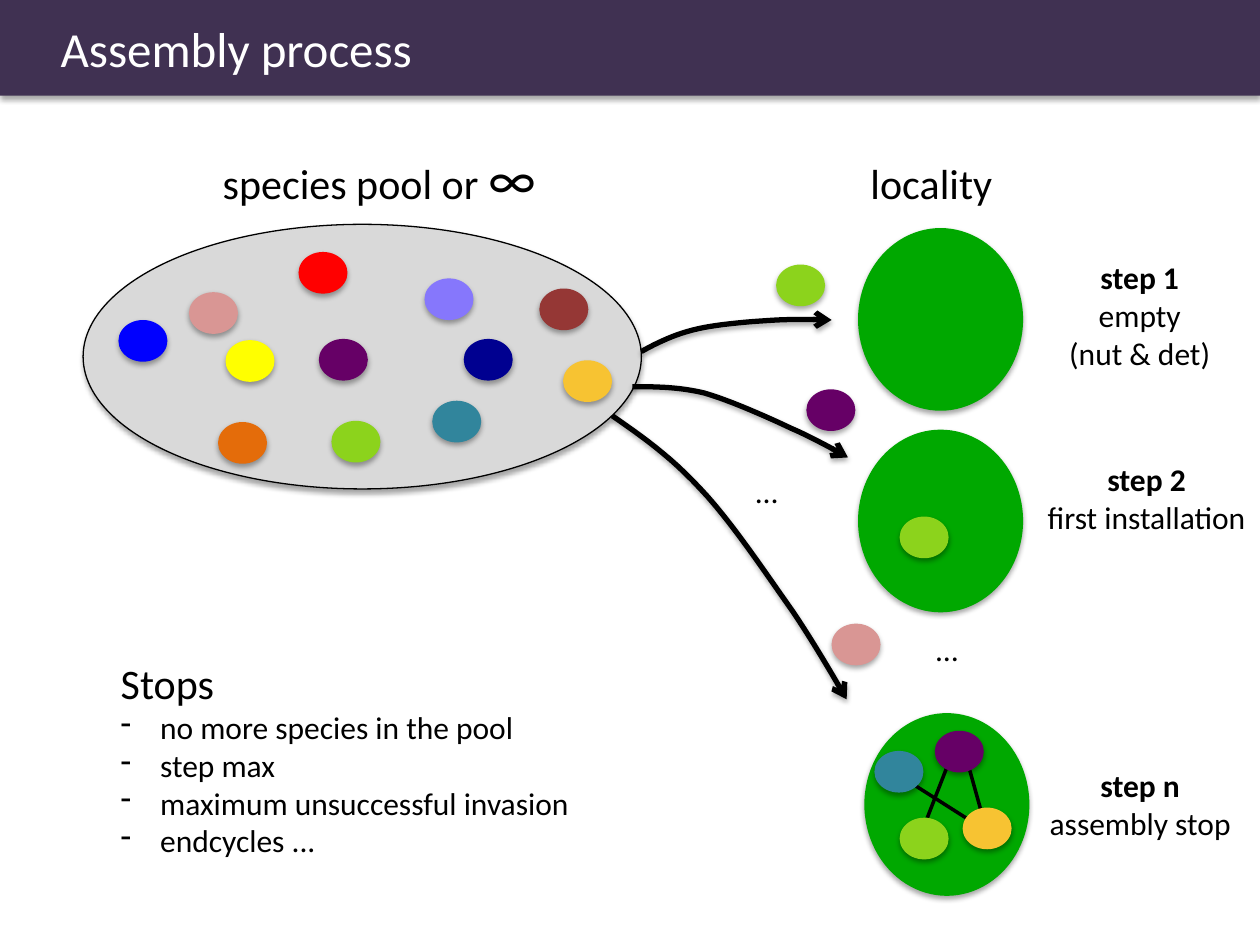
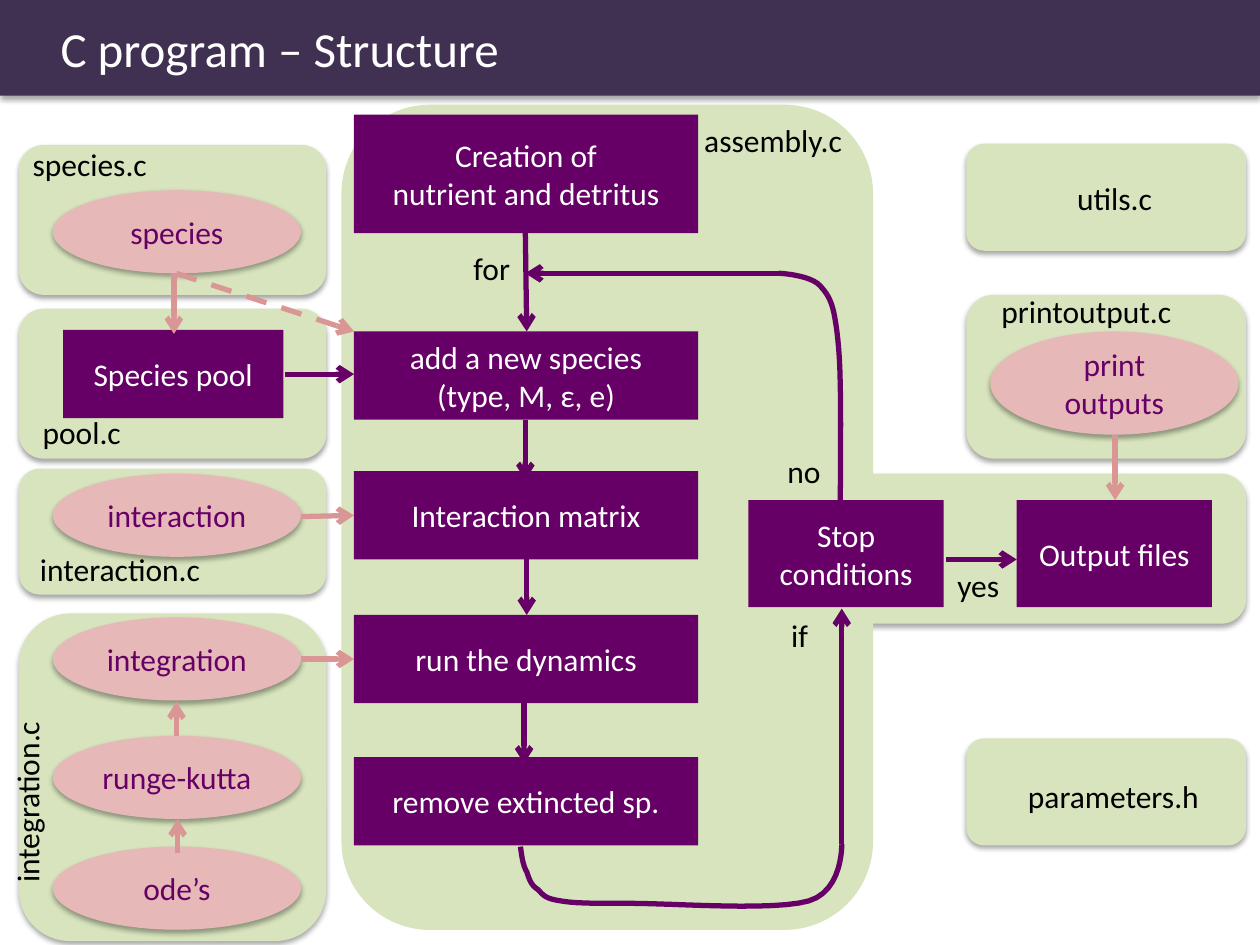
from dataclasses import dataclass
from lxml.etree import SubElement
from pptx import Presentation
from pptx.dml.color import RGBColor
from pptx.enum.dml import MSO_LINE
from pptx.enum.shapes import MSO_CONNECTOR, MSO_SHAPE
from pptx.enum.text import MSO_ANCHOR, MSO_AUTO_SIZE, PP_ALIGN
from pptx.oxml.ns import qn
from pptx.util import Pt


@dataclass(frozen=True)
class Theme:
    font: str = "Calibri"
    title_size: int = 28
    heading_size: int = 24
    infinity_size: int = 32
    body_size: int = 18
    band: str = "403152"
    white: str = "FFFFFF"
    black: str = "000000"
    pool: str = "D9D9D9"
    locality: str = "00A800"
    panel: str = "D7E4BD"
    step: str = "660066"
    function: str = "E6B9B8"
    call: str = "D99694"


THEME = Theme()
PINK, PURPLE, NAVY, AMBER = "D99694", "660066", "000090", "F7C332"
BLUE, TEAL, LIME, YELLOW = "0000FF", "31859C", "8CD31C", "FFFF00"
ORANGE, BRICK, LILAC, RED = "E46C0A", "953735", "8677FC", "FF0000"

SPECIES_SIZE = (28, 23.8)
LOCALITY_SIZE = (94.3, 104.4)
POOL = (47.5, 128.2, 319, 151.2)
POOL_SPECIES = [
    (108, 167, PINK), (182.2, 193.7, PURPLE), (265, 193.7, NAVY),
    (321.8, 205.9, AMBER), (67.7, 182.9, BLUE), (247, 229, TEAL),
    (189.4, 240.5, LIME), (128.9, 194.4, YELLOW), (124.6, 241.2, ORANGE),
    (308.2, 164.9, BRICK), (242.6, 159.1, LILAC), (170.6, 144, RED),
]
INVADERS = [(443.5, 151.2, LIME), (460.8, 222.5, PURPLE), (475.2, 356.4, PINK)]
RESIDENTS = [
    (514.1, 295.2, LIME), (514.1, 467.3, LIME), (534.2, 417.6, PURPLE),
    (550.1, 461.5, AMBER), (499.7, 429.1, TEAL),
]
LOCALITIES = [(490.3, 130.3), (490.3, 245.5), (493.9, 407.5)]
FOOD_LINKS = [
    (542.2, 435.6, 529.9, 467.3),
    (553.7, 438.5, 562.3, 469.4),
    (513.4, 442.8, 553, 468),
]
INVASION_PATHS = [
    [(366.5, 200.9), (375.8, 195.8), (385.9, 190.8), (398.9, 187.9),
     (411.8, 185), (431.3, 183.6), (444.2, 182.9),
     (457.2, 182.2), (475.2, 182.9), (475.2, 182.9)],
    [(361.4, 221), (374.4, 221), (387.4, 221), (402.5, 224.6),
     (417.6, 229), (438.5, 238.3), (452.2, 244.8),
     (465.8, 250.6), (484.6, 261.4), (484.6, 261.4)],
    [(349.9, 237.6), (366.5, 249.1), (383, 260.6), (400.3, 279.4),
     (417.6, 297.4), (438.5, 329), (452.9, 349.2),
     (466.6, 369.4), (483.8, 399.6), (483.8, 399.6)],
]
POOL_HEADING = ("species pool or ", "∞")
LOCALITY_HEADING = (490.3, 86.4, 85, 36, "locality")
STEP_CAPTIONS = [
    (603.4, 144, 95.8, 72.7, "step 1\nempty\n(nut & det)"),
    (590.4, 259.2, 129.6, 51, "step 2\nfirst installation"),
    (591.8, 434.2, 119.5, 51, "step n\nassembly stop"),
]
ELLIPSES = [(527.8, 356.4, 33.1, 29, "…"), (424.8, 266.4, 33.1, 29, "…")]
STOPS = (61.9, 372.2, 272.9, 123.8, "\n".join([
    "Stops", "no more species in the pool", "step max",
    "maximum unsuccessful invasion", "endcycles ...",
]))

SIDE_X, SIDE_WIDTH = 10.8, 175.7
RIGHT_X, RIGHT_WIDTH = 552.2, 159.8
SHADED, FLAT = True, False
PANELS = [
    (RIGHT_X, 168.5, RIGHT_WIDTH, 93.6, SHADED),
    (405.4, 270.7, 306.7, 85.7, SHADED),
    (195.1, 59.8, 303.8, 471.6, FLAT),
    (SIDE_X, 350.6, SIDE_WIDTH, 187.2, SHADED),
    (SIDE_X, 267.8, SIDE_WIDTH, 72, SHADED),
    (SIDE_X, 176.4, SIDE_WIDTH, 85.7, SHADED),
    (SIDE_X, 82.8, SIDE_WIDTH, 85.7, SHADED),
    (RIGHT_X, 82.1, RIGHT_WIDTH, 61.2, SHADED),
    (RIGHT_X, 421.9, RIGHT_WIDTH, 61.2, SHADED),
]
MAIN_X, MAIN_WIDTH, STEP_HEIGHT = 202.3, 196.6, 50.4
STEPS = [
    (MAIN_X, 65.5, MAIN_WIDTH, 67.7, "Creation of\nnutrient and detritus"),
    (MAIN_X, 189.4, MAIN_WIDTH, STEP_HEIGHT, "add a new species\n(type, M, ε, e)"),
    (MAIN_X, 269.3, MAIN_WIDTH, STEP_HEIGHT, "Interaction matrix"),
    (MAIN_X, 351.4, MAIN_WIDTH, STEP_HEIGHT, "run the dynamics"),
    (MAIN_X, 432.7, MAIN_WIDTH, STEP_HEIGHT, "remove extincted sp."),
    (36, 188.6, 126, STEP_HEIGHT, "Species pool"),
    (427.7, 285.8, 111.6, 61.2, "Stop conditions"),
    (581, 285.8, 111.6, 61.2, "Output files"),
]
FUNCTION_X, FUNCTION_WIDTH, FUNCTION_HEIGHT = 30.2, 141.8, 47.5
FUNCTIONS = [
    (FUNCTION_X, top, FUNCTION_WIDTH, FUNCTION_HEIGHT, name)
    for top, name in [
        (108.7, "species"), (270.7, "interaction"), (352.8, "integration"),
        (420.5, "runge-kutta"), (483.8, "ode’s"),
    ]
] + [(565.9, 189.4, FUNCTION_WIDTH, 59, "print outputs")]
FLOW_ARROWS = [
    (300.2, 133.2, 301, 189.4), (300.2, 239.8, 300.2, 274.3),
    (301, 319.7, 301, 351.4), (299.5, 401.8, 299.5, 436.3),
    (481, 482.4, 481, 347.8), (540.7, 319.7, 581, 319.7),
    (445, 156.2, 300.2, 156.2), (162.7, 213.8, 202.3, 213.8),
]
FLOW_BENDS = [
    [(297.4, 483.8), (298.1, 488.9), (298.8, 494.6), (301, 498.2),
     (302.4, 502.6), (303.8, 506.2), (307.4, 508.3),
     (310.3, 511.2), (311, 513.4), (320.4, 514.8),
     (329, 516.2), (337, 516.2), (360.7, 516.2),
     (384.5, 516.2), (442.1, 520.6), (462.2, 514.8),
     (481.7, 509), (481, 482.4), (481, 482.4)],
    [(480.2, 285.8), (480.2, 250.6), (481, 214.6), (478.8, 194.4),
     (476.6, 174.2), (474.5, 169.9), (468.7, 163.4),
     (463, 157), (445, 156.2), (445, 156.2)],
]
CALL_ARROWS = [
    (99.4, 156.2, 99.4, 190.8), (172, 295.2, 202.3, 294.5),
    (172, 376.6, 202.3, 376.6), (100.8, 420.5, 100.8, 401),
    (101.5, 487.4, 101.5, 468), (637.2, 248.4, 637.2, 285.8),
]
DASHED_CALL = (100.8, 156.2, 202.3, 189.4)
LABELS = [
    (263.5, 139, 36, 29, "for"), (445, 348.5, 24.5, 29, "if"),
    (540, 319.7, 38.9, 29, "yes"), (442.8, 254.9, 33.8, 29, "no"),
    (11.5, 79.2, 80.6, 29, "species.c"), (17.3, 232.6, 59.8, 29, "pool.c"),
    (15.8, 311, 108, 29, "interaction.c"),
    (395.3, 65.5, 95, 29, "assembly.c"),
    (565.2, 163.4, 113, 29, "printoutput.c"),
    (608.4, 98.6, 57.6, 29, "utils.c"),
    (580.3, 440.6, 113.8, 29, "parameters.h"),
]
SIDEWAYS_LABEL = (-38.9, 442.8, 108.7, 29, "integration.c")


def color(value):
    return RGBColor.from_string(value)


def format_text(frame, size, ink, align):
    for para in frame.paragraphs:
        para.alignment = align
        for span in para.runs:
            span.font.name = THEME.font
            span.font.size = Pt(size)
            span.font.color.rgb = color(ink)


def set_shadow(shape, shaded):
    shape.shadow.inherit = False
    if shaded:
        effects = shape._element.spPr.find(qn("a:effectLst"))
        outer = SubElement(effects, qn("a:outerShdw"), blurRad=str(Pt(3.1)),
                           dist=str(Pt(1.8)), dir="5400000", rotWithShape="0")
        tone = SubElement(outer, qn("a:srgbClr"), val=THEME.black)
        SubElement(tone, qn("a:alpha"), val="35000")


def add_title(page, text):
    title = page.shapes.title
    title.left, title.top, title.width, title.height = 0, 0, Pt(720), Pt(54.7)
    title.fill.solid()
    title.fill.fore_color.rgb = color(THEME.band)
    set_shadow(title, True)
    frame = title.text_frame
    frame.text = text
    frame.margin_left = Pt(34.6)
    frame.auto_size = MSO_AUTO_SIZE.NONE
    frame.vertical_anchor = MSO_ANCHOR.MIDDLE
    format_text(frame, THEME.title_size, THEME.white, PP_ALIGN.LEFT)


def add_shape(page, kind, area, fill, text="", ink=THEME.white, shaded=True, outline=None):
    shape = page.shapes.add_shape(kind, *map(Pt, area))
    shape.fill.solid()
    shape.fill.fore_color.rgb = color(fill)
    if outline:
        shape.line.color.rgb = color(outline)
        shape.line.width = Pt(0.75)
    else:
        shape.line.fill.background()
    set_shadow(shape, shaded)
    if text:
        shape.text_frame.text = text
        format_text(shape.text_frame, THEME.body_size, ink, PP_ALIGN.CENTER)


def add_label(page, label, size=THEME.body_size, align=PP_ALIGN.LEFT):
    *area, text = label
    box = page.shapes.add_textbox(*map(Pt, area))
    frame = box.text_frame
    frame.text = text
    frame.word_wrap = False
    frame.auto_size = MSO_AUTO_SIZE.SHAPE_TO_FIT_TEXT
    format_text(frame, size, THEME.black, align)
    return box


def style_line(line, ink, width, arrow):
    line._element.spPr
    shape_line = line.line
    shape_line.color.rgb = color(ink)
    shape_line.width = Pt(width)
    if arrow:
        SubElement(line._element.spPr.find(qn("a:ln")), qn("a:tailEnd"), type="arrow")


def add_line(page, ends, ink, width=3, arrow=True, dashed=False):
    line = page.shapes.add_connector(MSO_CONNECTOR.STRAIGHT, *map(Pt, ends))
    if dashed:
        line.line.dash_style = MSO_LINE.DASH
    style_line(line, ink, width, arrow)
    SubElement(line._element.spPr, qn("a:effectLst"))


def curve_points(knots, pieces=12):
    for start in range(0, len(knots) - 1, 3):
        for piece in range(1, pieces + 1):
            t = piece / pieces
            weights = ((1 - t) ** 3, 3 * t * (1 - t) ** 2, 3 * t * t * (1 - t), t ** 3)
            yield tuple(
                Pt(sum(weight * knot[axis] for weight, knot in zip(weights, knots[start:start + 4])))
                for axis in (0, 1)
            )


def add_curve(page, knots, ink, arrow, shaded):
    builder = page.shapes.build_freeform(*map(Pt, knots[0]))
    builder.add_line_segments(list(curve_points(knots)), close=False)
    curve = builder.convert_to_shape()
    curve.fill.background()
    style_line(curve, ink, 3, arrow)
    set_shadow(curve, shaded)


def add_stops(page):
    box = add_label(page, STOPS)
    heading, *reasons = box.text_frame.paragraphs
    heading.runs[0].font.size = Pt(THEME.heading_size)
    for para in reasons:
        properties = para._p.get_or_add_pPr()
        properties.set("marL", str(Pt(22.5)))
        properties.set("indent", str(-Pt(22.5)))
        SubElement(properties, qn("a:buChar"), char="-")


def build_assembly(page):
    add_title(page, "Assembly process")
    add_shape(page, MSO_SHAPE.OVAL, POOL, THEME.pool, outline=THEME.black)
    for place in LOCALITIES:
        add_shape(page, MSO_SHAPE.OVAL, place + LOCALITY_SIZE, THEME.locality)
    for knots in INVASION_PATHS:
        add_curve(page, knots, THEME.black, arrow=True, shaded=True)
    for ends in FOOD_LINKS:
        add_line(page, ends, THEME.black, width=2, arrow=False)
    for left, top, fill in POOL_SPECIES + INVADERS + RESIDENTS:
        add_shape(page, MSO_SHAPE.OVAL, (left, top) + SPECIES_SIZE, fill)
    words, infinity = POOL_HEADING
    heading = add_label(page, (120.2, 78.5, 195.1, 46, words), THEME.heading_size)
    span = heading.text_frame.paragraphs[0].add_run()
    span.text = infinity
    span.font.name = THEME.font
    span.font.size = Pt(THEME.infinity_size)
    span.font.color.rgb = color(THEME.black)
    add_label(page, LOCALITY_HEADING, THEME.heading_size)
    for caption in STEP_CAPTIONS:
        box = add_label(page, caption, align=PP_ALIGN.CENTER)
        box.text_frame.paragraphs[0].runs[0].font.bold = True
    for label in ELLIPSES:
        add_label(page, label)
    add_stops(page)


def build_structure(page):
    add_title(page, "C program – Structure")
    for *area, shaded in PANELS:
        add_shape(page, MSO_SHAPE.ROUNDED_RECTANGLE, area, THEME.panel, shaded=shaded)
    for *area, text in STEPS:
        add_shape(page, MSO_SHAPE.RECTANGLE, area, THEME.step, text, shaded=False)
    for *area, text in FUNCTIONS:
        add_shape(page, MSO_SHAPE.OVAL, area, THEME.function, text, THEME.step)
    for knots in FLOW_BENDS:
        add_curve(page, knots, THEME.step, arrow=False, shaded=False)
    for ends in FLOW_ARROWS:
        add_line(page, ends, THEME.step)
    for ends in CALL_ARROWS:
        add_line(page, ends, THEME.call)
    add_line(page, DASHED_CALL, THEME.call, dashed=True)
    for label in LABELS:
        add_label(page, label)
    add_label(page, SIDEWAYS_LABEL).rotation = 270


def main():
    deck = Presentation()
    deck.slide_width, deck.slide_height = Pt(720), Pt(540)
    for build in (build_assembly, build_structure):
        build(deck.slides.add_slide(deck.slide_layouts[5]))
    deck.save("out.pptx")


if __name__ == "__main__":
    main()
